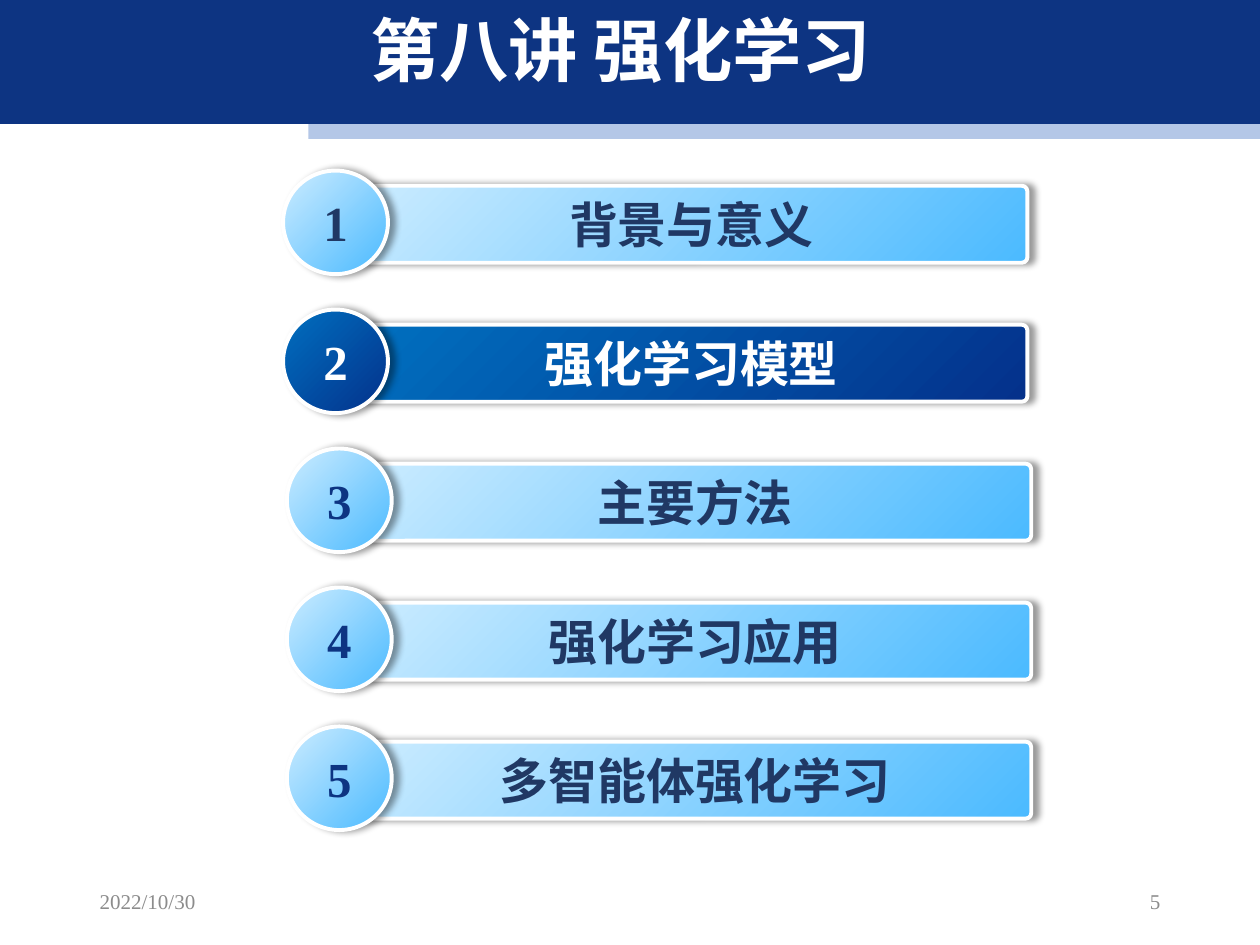
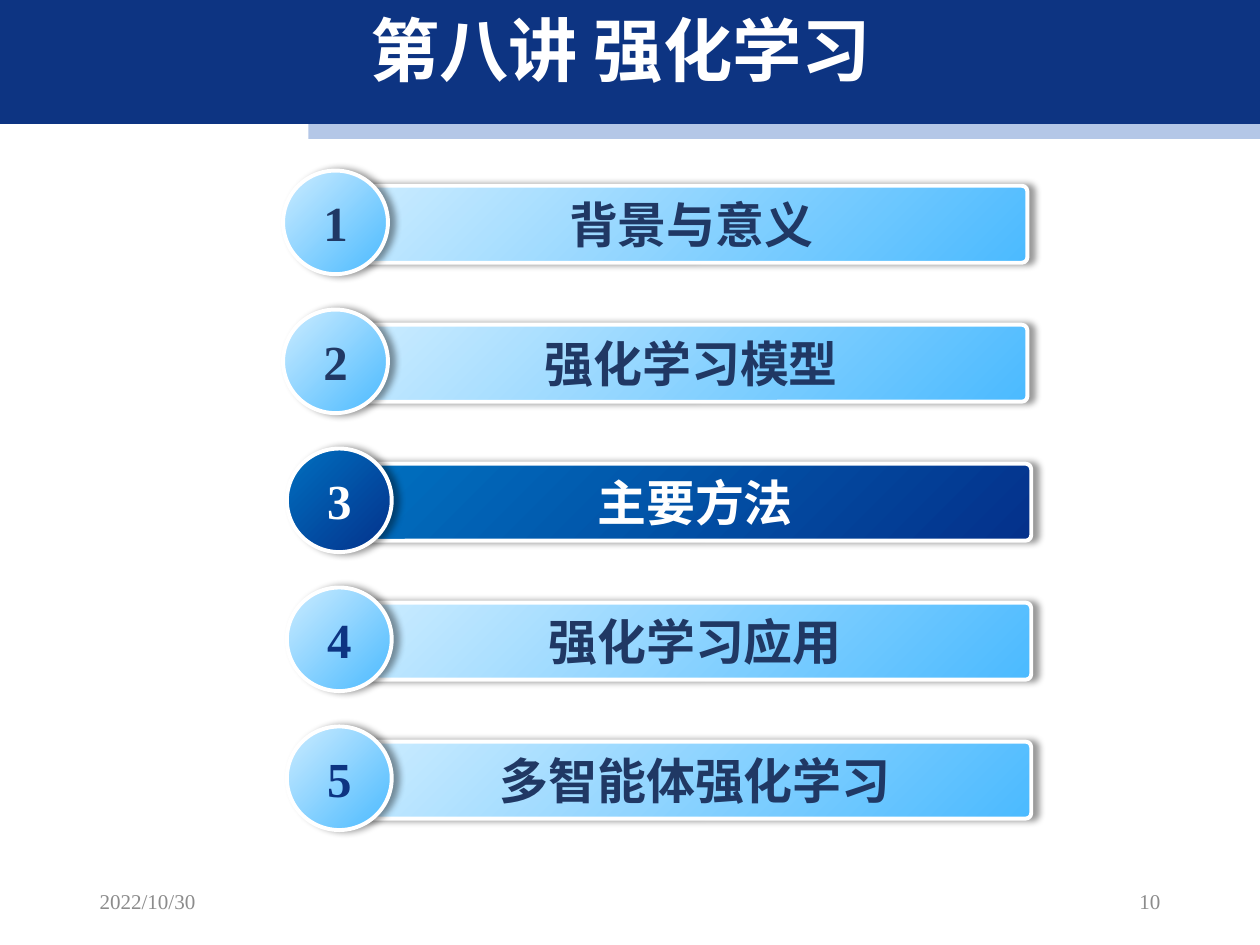
from pptx import Presentation
from pptx.dml.color import RGBColor
from pptx.enum.shapes import MSO_SHAPE
from pptx.enum.text import MSO_ANCHOR, MSO_AUTO_SIZE, PP_ALIGN
from pptx.oxml import parse_xml
from pptx.oxml.ns import nsdecls, qn
from pptx.util import Inches, Pt

RECT, ROUND, OVAL = MSO_SHAPE.RECTANGLE, MSO_SHAPE.ROUNDED_RECTANGLE, MSO_SHAPE.OVAL
LEFT, CENTER, RIGHT = PP_ALIGN.LEFT, PP_ALIGN.CENTER, PP_ALIGN.RIGHT
MIDDLE = MSO_ANCHOR.MIDDLE
NO_AUTOFIT = MSO_AUTO_SIZE.NONE

SLIDE_W, SLIDE_H = 9.97, 7.48
NAVY, PALE_BLUE, INK, GREY, WHITE = "0D3482", "B4C7E7", "203864", "8C8C8C", "FFFFFF"
PLAIN_GRADIENT = ("CCECFF", "4BBAFF")
ACTIVE_GRADIENT = ("0070C0", "04318B")
LATIN, CJK = "Times New Roman", "Noto Sans CJK SC"

TITLE = "第八讲 强化学习"
DATE = "2022/10/30"
# Label, left edge, number colour
CHAPTERS = [
    ("背景与意义", 2.24, INK),
    ("强化学习模型", 2.24, INK),
    ("主要方法", 2.27, NAVY),
    ("强化学习应用", 2.27, NAVY),
    ("多智能体强化学习", 2.27, NAVY),
]
AGENDA_TOP, ROW_STEP = 1.35, 1.1


def rgb(color):
    return RGBColor.from_string(color)


def set_text(shape, text, size, color, align, bold=False, latin=LATIN):
    tf = shape.text_frame
    tf.text = text
    tf.word_wrap = True
    tf.auto_size = NO_AUTOFIT
    tf.vertical_anchor = MIDDLE
    p = tf.paragraphs[0]
    p.alignment = align
    font = p.runs[0].font
    font.size, font.bold, font.name = Pt(size), bold, latin
    font.color.rgb = rgb(color)
    latin_tag = p.runs[0].font._element.find(qn("a:latin"))
    latin_tag.addnext(parse_xml(f'<a:ea {nsdecls("a")} typeface="{CJK}"/>'))
    return p


def add_bands(s, layout):
    """Draw the header bands and move them to the layout, behind its placeholders."""
    for left, top, width, height, color in [
        (0, -0.04, SLIDE_W, 1.02, NAVY),
        (2.44, 0.98, SLIDE_W - 2.44, 0.12, PALE_BLUE),
    ]:
        band = s.shapes.add_shape(RECT, Inches(left), Inches(top), Inches(width), Inches(height))
        band.shadow.inherit = False
        band.fill.solid()
        band.fill.fore_color.rgb = rgb(color)
        band.line.fill.background()
        layout.shapes.element.insert(2, band.element)


def add_title(s, left, top, width, height):
    title = s.shapes.title
    title.left, title.top = Inches(left), Inches(top)
    title.width, title.height = Inches(width), Inches(height)
    p = set_text(title, TITLE, 39.5, WHITE, CENTER, bold=True, latin=CJK)
    p.line_spacing = 0.9


def add_footer(s, number, left, top, width, height):
    box_w = 2.24
    for text, x, align in [(DATE, left, LEFT), (str(number), left + width - box_w, RIGHT)]:
        box = s.shapes.add_textbox(Inches(x), Inches(top), Inches(box_w), Inches(height))
        set_text(box, text, 12, GREY, align)


def add_glossy(group, kind, left, top, width, height, gradient, text, color):
    """Add a gradient shape with a white edge and a soft shadow."""
    sp = group.shapes.add_shape(kind, Inches(left), Inches(top), Inches(width), Inches(height))
    sp.fill.gradient()
    sp.fill.gradient_angle = 315
    for stop, stop_color in zip(sp.fill.gradient_stops, gradient):
        stop.color.rgb = rgb(stop_color)
    sp.line.color.rgb = rgb(WHITE)
    sp.line.width = Pt(2.25)
    sp.shadow.inherit = False
    sp.element.spPr.find(qn("a:effectLst")).append(parse_xml(
        f'<a:outerShdw {nsdecls("a")} blurRad="{Pt(4)}" dist="{Pt(3)}" dir="0" algn="l" '
        'rotWithShape="0"><a:srgbClr val="000000"><a:alpha val="40000"/></a:srgbClr>'
        '</a:outerShdw>'))
    set_text(sp, text, 27.9, color, CENTER, bold=True)
    return sp


def add_chapter(s, left, top, number, label, number_color, active):
    group = s.shapes.add_group_shape()
    gradient = ACTIVE_GRADIENT if active else PLAIN_GRADIENT
    bar = add_glossy(group, ROUND, left + 0.57, top + 0.12, 5.32, 0.61, gradient,
                     label, WHITE if active else INK)
    bar.adjustments[0] = 0.073
    add_glossy(group, OVAL, left, top, 0.83, 0.82, gradient,
               str(number), WHITE if active else number_color)


def add_agenda_slide(prs, layout, active, page):
    s = prs.slides.add_slide(layout)
    add_title(s, 1.14, 0.1, 7.54, 0.66)
    for i, (label, left, number_color) in enumerate(CHAPTERS):
        add_chapter(s, left, AGENDA_TOP + i * ROW_STEP, i + 1, label, number_color,
                    i + 1 == active)
    add_footer(s, page, 0.69, 6.93, 8.59, 0.4)
    return s


def main():
    prs = Presentation()
    prs.slide_width, prs.slide_height = Inches(SLIDE_W), Inches(SLIDE_H)
    layout = prs.slide_layouts.get_by_name("Title Only")
    first = add_agenda_slide(prs, layout, active=2, page=5)
    add_bands(first, layout)
    add_agenda_slide(prs, layout, active=3, page=10)
    prs.save("out.pptx")


if __name__ == "__main__":
    main()
